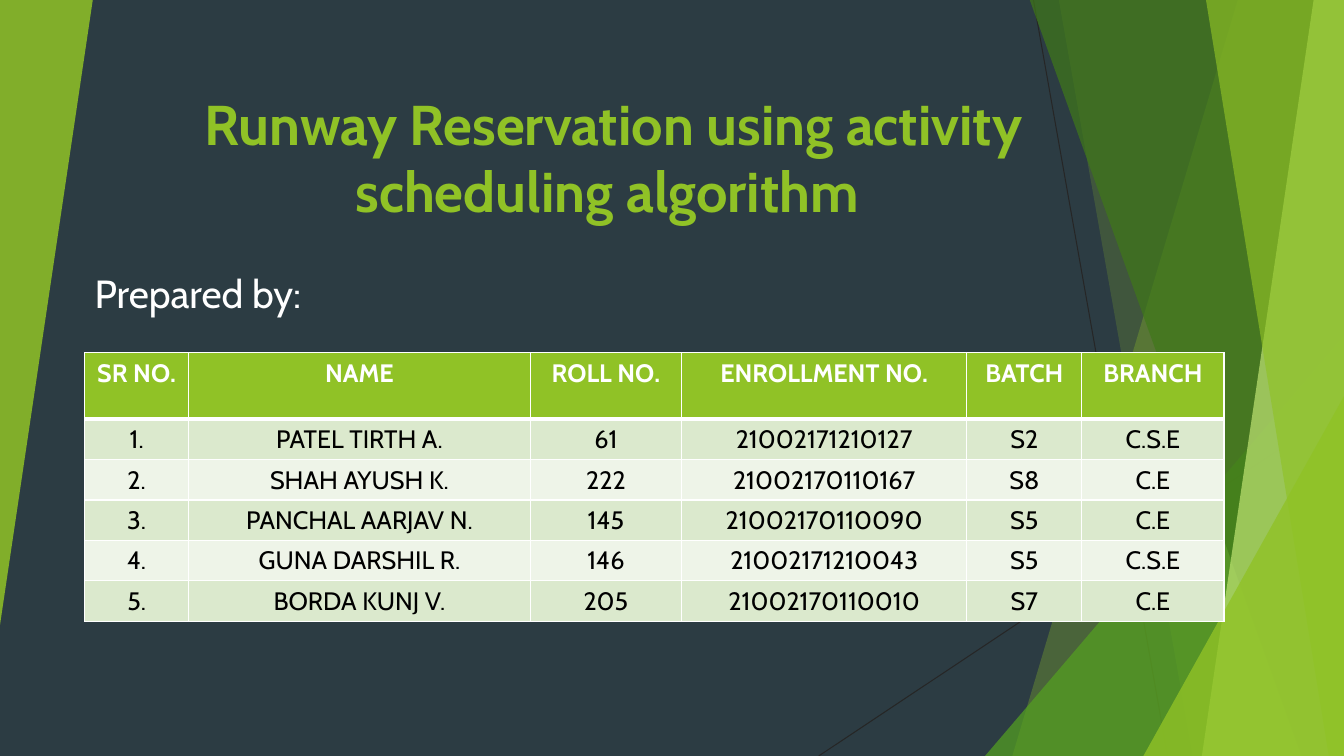
import pptx
import pptx.dml.color
import pptx.enum.shapes
import pptx.enum.text
import pptx.oxml.ns
import pptx.util
from lxml import etree

Inches = pptx.util.Inches
Pt = pptx.util.Pt
RGBColor = pptx.dml.color.RGBColor
Align = pptx.enum.text.PP_ALIGN
Anchor = pptx.enum.text.MSO_ANCHOR
Kind = pptx.enum.shapes.MSO_SHAPE
Link = pptx.enum.shapes.MSO_CONNECTOR
qn = pptx.oxml.ns.qn

SLATE = RGBColor(0x2C, 0x3C, 0x43)
INK = RGBColor(0x26, 0x26, 0x26)
LIME = RGBColor(0x90, 0xC2, 0x26)
GRASS = RGBColor(0x54, 0xA0, 0x21)
FOREST = RGBColor(0x3F, 0x78, 0x19)
PALE = RGBColor(0xC0, 0xE4, 0x74)
WHITE = RGBColor(0xFF, 0xFF, 0xFF)
BLACK = RGBColor(0, 0, 0)
BANDS = RGBColor(0xDB, 0xE9, 0xCD), RGBColor(0xEE, 0xF4, 0xE8)

WIDE, HIGH = 13.33, 7.5
COLS = [1.03, 3.39, 1.5, 2.83, 1.14, 1.41]
TEAM = [
    ("SR NO.", "NAME", "ROLL NO.", "ENROLLMENT NO.", "BATCH", "BRANCH"),
    ("1.", "PATEL TIRTH A.", "61", "21002171210127", "S2", "C.S.E"),
    ("2.", "SHAH AYUSH K.", "222", "21002170110167", "S8", "C.E"),
    ("3.", "PANCHAL AARJAV N.", "145", "21002170110090", "S5", "C.E"),
    ("4.", "GUNA DARSHIL R.", "146", "21002171210043", "S5", "C.S.E"),
    ("5.", "BORDA KUNJ V.", "205", "21002170110010", "S7", "C.E"),
]


class Deck:
    font = "Cabin"

    def __init__(self):
        self.show = pptx.Presentation()
        self.show.slide_width = Inches(WIDE)
        self.show.slide_height = Inches(HIGH)
        self.slide = self.show.slides.add_slide(self.show.slide_layouts[6])
        self.shapes = self.slide.shapes
        back = self.slide.background.fill
        back.solid()
        back.fore_color.rgb = SLATE

    def line(self, x1, y1, x2, y2):
        line = self.shapes.add_connector(
            Link.STRAIGHT, Inches(x1), Inches(y1), Inches(x2), Inches(y2))
        line.line.color.rgb = INK
        line.line.width = Pt(0.75)
        etree.SubElement(line._element.spPr, qn("a:effectLst"))

    def paint(self, shape, color, alpha):
        """Fill a shape with a color that is alpha percent opaque."""
        shape.shadow.inherit = False
        shape.line.fill.background()
        shape.fill.solid()
        shape.fill.fore_color.rgb = color
        tone = shape._element.spPr.find(".//" + qn("a:srgbClr"))
        etree.SubElement(tone, qn("a:alpha"), val=str(alpha * 1000))

    def facet(self, top, foot, color, alpha):
        """Draw a full-height panel from a slanted left edge to the right side."""
        build = self.shapes.build_freeform(Inches(top), Inches(-0.01))
        spots = [(WIDE, -0.01), (WIDE, HIGH), (foot, HIGH)]
        build.add_line_segments([(Inches(x), Inches(y)) for x, y in spots])
        self.paint(build.convert_to_shape(), color, alpha)

    def wedge(self, x, y, w, h, color, alpha, turn=0):
        wedge = self.shapes.add_shape(
            Kind.ISOSCELES_TRIANGLE, Inches(x), Inches(y), Inches(w), Inches(h))
        wedge.adjustments[0] = 1
        wedge.rotation = turn
        self.paint(wedge, color, alpha)

    def words(self, para, words, size, color, bold, align):
        para.alignment = align
        run = para.add_run()
        run.text = words
        run.font.name = self.font
        run.font.size = Pt(size)
        run.font.bold = bold
        run.font.color.rgb = color

    def text(self, x, y, words, size, color, bold=False,
             align=Align.LEFT, anchor=Anchor.TOP, space=0):
        box = self.shapes.add_textbox(
            Inches(x), Inches(y), Inches(9.65), Inches(0.94))
        frame = box.text_frame
        frame.word_wrap = True
        frame.vertical_anchor = anchor
        para = frame.paragraphs[0]
        para.space_before = Pt(space)
        self.words(para, words, size, color, bold, align)

    def edge(self, cell, side, width):
        line = etree.SubElement(
            cell._tc.get_or_add_tcPr(), qn("a:ln" + side), w=str(Pt(width)))
        fill = etree.SubElement(line, qn("a:solidFill"))
        etree.SubElement(fill, qn("a:srgbClr"), val=str(WHITE))

    def table(self, x, y, cols, rows):
        highs = [0.66] + [0.4] * (len(rows) - 1)
        table = self.shapes.add_table(
            len(rows), len(cols), Inches(x), Inches(y),
            Inches(sum(cols)), Inches(sum(highs))).table
        for col, wide in zip(table.columns, cols):
            col.width = Inches(wide)
        for r, (row, high) in enumerate(zip(rows, highs)):
            table.rows[r].height = Inches(high)
            head = r == 0
            for c, words in enumerate(row):
                cell = table.cell(r, c)
                thick = {"T": 3 if r == 1 else 1, "B": 3 if head else 1}
                for side in "LRTB":
                    self.edge(cell, side, thick.get(side, 1))
                cell.fill.solid()
                cell.fill.fore_color.rgb = LIME if head else BANDS[(r - 1) % 2]
                self.words(cell.text_frame.paragraphs[0], words, 18,
                           WHITE if head else BLACK, head, Align.CENTER)


def main():
    deck = Deck()
    deck.line(10.25, 0, 11.58, HIGH)
    deck.line(WIDE, 4.03, 8.12, HIGH)
    deck.facet(12.28, 10.04, LIME, 30)
    deck.facet(10.5, 11.83, LIME, 20)
    deck.wedge(9.77, 3.33, 3.56, 4.17, GRASS, 72)
    deck.facet(10.21, 12.91, FOREST, 70)
    deck.facet(13.03, 11.92, PALE, 70)
    deck.facet(11.96, 13.18, LIME, 65)
    deck.wedge(11.34, 3.93, 1.99, 3.57, LIME, 80)
    deck.wedge(0, 0, 0.92, 6.2, LIME, 85, turn=180)
    deck.text(1.26, 1.33, "Runway Reservation using activity scheduling algorithm ",
              40, LIME, True, Align.CENTER, Anchor.BOTTOM)
    deck.text(0.84, 2.62, "Prepared by:", 28, WHITE, space=10)
    deck.table(0.84, 3.5, COLS, TEAM)
    deck.show.save("out.pptx")


if __name__ == "__main__":
    main()
